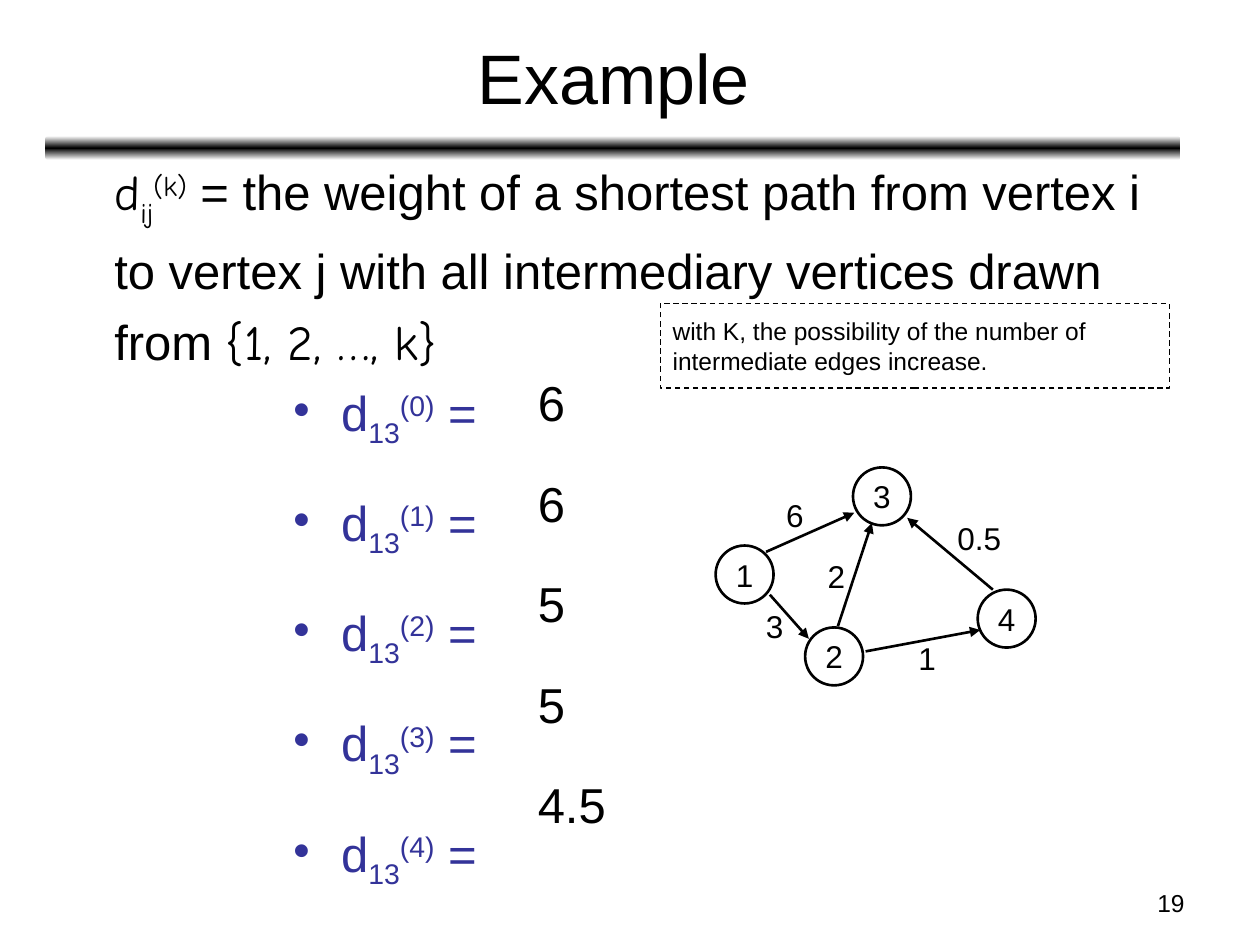
from copy import deepcopy
from typing import NamedTuple

from lxml.etree import SubElement
from pptx import Presentation
from pptx.dml.color import RGBColor
from pptx.enum.dml import MSO_LINE
from pptx.enum.shapes import MSO_CONNECTOR, MSO_SHAPE
from pptx.enum.text import MSO_ANCHOR, PP_ALIGN
from pptx.oxml.ns import qn
from pptx.util import Inches, Pt

COLORS = {"ink": "000000", "paper": "FFFFFF", "bullet": "333399"}
SANS, COMIC = "Arial", "Comic Neue"
SUB, SUP = -25, 30  # baseline shift in percent


class Span(NamedTuple):
    text: str
    font: str = SANS
    baseline: int = 0


class Vertex(NamedTuple):
    label: str
    left: float
    top: float


class Edge(NamedTuple):
    weight: str
    start: tuple[float, float]
    end: tuple[float, float]
    label_at: tuple[float, float]
    label_width: float = 0.34


def rgb(name: str) -> RGBColor:
    return RGBColor.from_string(COLORS[name])


def add_bullet(paragraph, color: str) -> None:
    props = paragraph._p.get_or_add_pPr()
    props.set("marL", str(Inches(0.38)))
    props.set("indent", str(Inches(-0.38)))
    bullet_color = SubElement(props, qn("a:buClr"))
    SubElement(bullet_color, qn("a:srgbClr")).set("val", COLORS[color])
    SubElement(props, qn("a:buChar")).set("char", "•")


def write(shape, paragraphs: list[list[Span]], *, size: float, color: str = "ink",
          align=PP_ALIGN.LEFT, anchor=MSO_ANCHOR.TOP, wrap: bool = True,
          spacing: float = 1.0, before: float = 0, bullets: bool = False,
          inset: float = 0.05) -> None:
    frame = shape.text_frame
    frame.word_wrap = wrap
    frame.vertical_anchor = anchor
    frame.margin_left = frame.margin_right = Inches(0.1)
    frame.margin_top = frame.margin_bottom = Inches(inset)
    for index, spans in enumerate(paragraphs):
        paragraph = frame.add_paragraph() if index else frame.paragraphs[0]
        paragraph.alignment = align
        paragraph.line_spacing = spacing
        if index and before:
            paragraph.space_before = Pt(before)
        if bullets:
            add_bullet(paragraph, color)
        for span in spans:
            run = paragraph.add_run()
            run.text = span.text
            run.font.size = Pt(size)
            run.font.name = span.font
            run.font.color.rgb = rgb(color)
            if span.baseline:
                run._r.get_or_add_rPr().set("baseline", str(span.baseline * 1000))


def add_text(slide, at: tuple[float, float, float, float],
             paragraphs: list[list[Span]], **text_format) -> None:
    write(slide.shapes.add_textbox(*map(Inches, at)), paragraphs, **text_format)


def add_outline(slide, kind, at: tuple[float, float, float, float], width: float):
    shape = slide.shapes.add_shape(kind, *map(Inches, at))
    shape.shadow.inherit = False
    shape.fill.background()
    shape.line.color.rgb = rgb("ink")
    shape.line.width = Pt(width)
    return shape


def add_rule(slide) -> None:
    rule = slide.shapes.add_shape(MSO_SHAPE.ROUNDED_RECTANGLE, Inches(0.36),
                                  Inches(1.08), Inches(9.01), Inches(0.19))
    rule.shadow.inherit = False
    rule.line.fill.background()
    rule.fill.gradient()
    rule.fill.gradient_angle = 90
    first = rule.fill._fill._gradFill.gsLst[0]
    first.addnext(deepcopy(first))
    for stop, position, color in zip(rule.fill.gradient_stops, (0, 0.5, 1),
                                     ("paper", "ink", "paper")):
        stop.position = position
        stop.color.rgb = rgb(color)


def add_vertex(slide, vertex: Vertex) -> None:
    circle = add_outline(slide, MSO_SHAPE.OVAL, (vertex.left, vertex.top, 0.46, 0.46), 1.5)
    write(circle, [[Span(vertex.label)]], size=18, align=PP_ALIGN.CENTER,
          anchor=MSO_ANCHOR.MIDDLE, wrap=False)


def add_edge(slide, edge: Edge) -> None:
    arrow = slide.shapes.add_connector(MSO_CONNECTOR.STRAIGHT,
                                       *map(Inches, edge.start + edge.end))
    arrow.line.color.rgb = rgb("ink")
    arrow.line.width = Pt(1.5)
    SubElement(arrow.line._get_or_add_ln(), qn("a:tailEnd")).set("type", "triangle")
    SubElement(arrow._element.spPr, qn("a:effectLst"))
    add_text(slide, (*edge.label_at, edge.label_width, 0.4), [[Span(edge.weight)]],
             size=18, wrap=False)


VERTICES = [Vertex("1", 5.68, 4.33), Vertex("3", 6.77, 3.71),
            Vertex("4", 7.76, 4.68), Vertex("2", 6.39, 4.98)]
EDGES = [
    Edge("6", (6.08, 4.38), (6.78, 4.07), (6.14, 3.89)),
    Edge("3", (6.11, 4.72), (6.42, 5.07), (5.98, 4.77)),
    Edge("1", (6.87, 5.17), (7.78, 5), (7.19, 5.02)),
    Edge("0.5", (7.88, 4.68), (7.2, 4.11), (7.5, 4.07), 0.55),
    Edge("2", (6.65, 4.97), (6.92, 4.15), (6.47, 4.37)),
]
DISTANCES = ["6", "6", "5", "5", "4.5"]


def main() -> None:
    deck = Presentation()
    deck.slide_width, deck.slide_height = Inches(10), Inches(7.5)
    slide = deck.slides.add_slide(deck.slide_layouts[6])

    # Title, rule and page number
    add_rule(slide)
    add_text(slide, (7.17, 7, 2.33, 0.35), [[Span("19")]], size=14, align=PP_ALIGN.RIGHT)
    add_text(slide, (0.37, 0.11, 9, 0.99), [[Span("Example")]], size=40,
             align=PP_ALIGN.CENTER, anchor=MSO_ANCHOR.MIDDLE)

    # Distance for each k, with its value
    terms = [[Span("d"), Span("13", baseline=SUB), Span(f"({k})", baseline=SUP), Span(" =")]
             for k in range(len(DISTANCES))]
    add_text(slide, (2.23, 2.72, 2, 4.07), terms, size=28, color="bullet",
             spacing=1.5, before=5.6, bullets=True)
    for k, distance in enumerate(DISTANCES):
        add_text(slide, (4.17, 2.91 + 0.797 * k, 0.74 if "." in distance else 0.42, 0.57),
                 [[Span(distance)]], size=28, wrap=False)

    # Weighted graph
    for vertex in VERTICES:
        add_vertex(slide, vertex)
    for edge in EDGES:
        add_edge(slide, edge)

    # Definition and remark
    definition = [
        Span("d", COMIC), Span("ij", COMIC, SUB), Span("(k)", COMIC, SUP),
        Span(" = the weight of a shortest path from vertex i to vertex j "
             "with all intermediary vertices drawn from "),
        Span("{1, 2, …, k}", COMIC),
    ]
    add_text(slide, (0.81, 1.13, 8.47, 1.78), [definition], size=28, spacing=1.2)
    remark = add_outline(slide, MSO_SHAPE.RECTANGLE, (5.24, 2.41, 4.04, 0.67), 0.75)
    remark.line.dash_style = MSO_LINE.DASH
    write(remark, [[Span("with K, the possibility of the number of "
                         "intermediate edges increase.")]], size=14, inset=0.1)

    deck.save("out.pptx")


if __name__ == "__main__":
    main()
